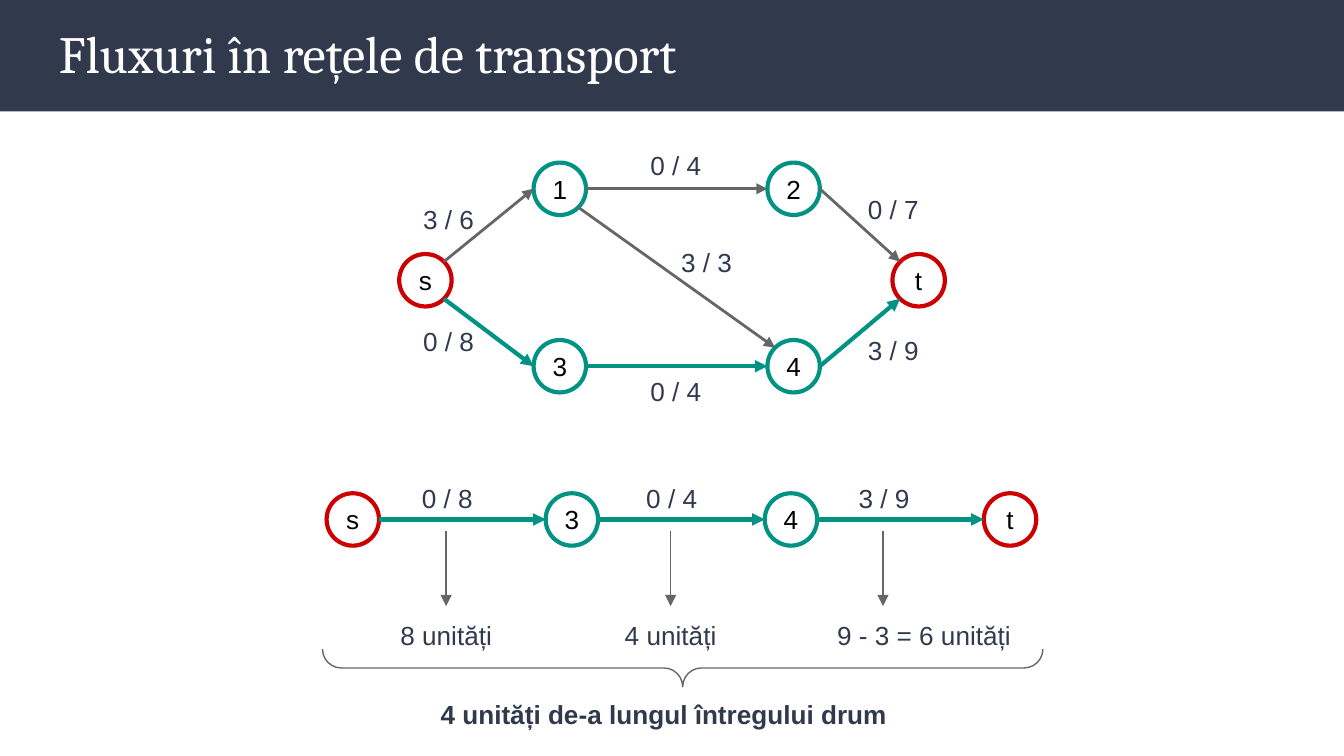
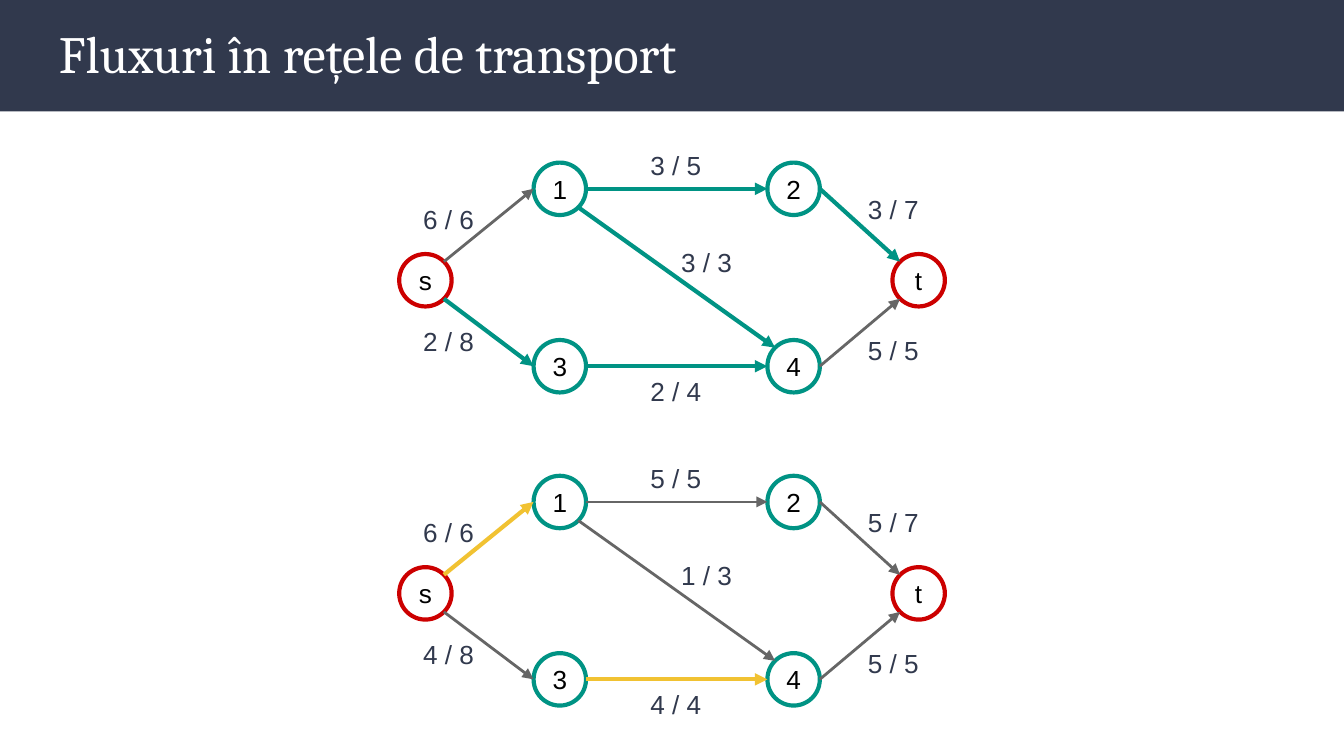
from dataclasses import dataclass
from math import cos, radians, sin

from lxml import etree
from pptx import Presentation
from pptx import util as u
from pptx.dml.color import RGBColor
from pptx.enum import shapes, text
from pptx.oxml.ns import qn


@dataclass(frozen=True)
class Theme:
    navy: str = "31394D"
    white: str = "FFFFFF"
    black: str = "000000"
    red: str = "CC0000"
    green: str = "009384"
    gray: str = "666666"
    gold: str = "F1C232"
    head: str = "Cambria"
    body: str = "Arial"
    title: int = 28
    label: int = 14
    thin: float = 0.75
    mid: float = 1.5
    bold: float = 2.25


T = Theme()
SIZE = 0.39
LEFT, RIGHT = 2, 6
UP_LEFT, LOW_LEFT, LOW_RIGHT, UP_RIGHT = 1, 3, 5, 7

NODES = {
    "s": (2.97, 1.89),
    "1": (3.97, 1.21),
    "2": (5.71, 1.21),
    "3": (3.97, 2.53),
    "4": (5.71, 2.53),
    "t": (6.64, 1.89),
}
EDGES = {
    "s1": (UP_RIGHT, LEFT, (3.05, 1.41, 0.59)),
    "12": (RIGHT, LEFT, (4.74, 1.01, 0.59)),
    "2t": (RIGHT, UP_LEFT, (6.36, 1.34, 0.66)),
    "s3": (LOW_RIGHT, LEFT, (3.05, 2.32, 0.59)),
    "34": (RIGHT, LEFT, (4.74, 2.69, 0.59)),
    "4t": (RIGHT, LOW_LEFT, (6.36, 2.39, 0.66)),
    "14": (LOW_RIGHT, UP_LEFT, (4.97, 1.73, 0.64)),
}


def rgb(color):
    return RGBColor.from_string(color)


def write(shape, words, *, size=T.label, font=T.body, color=T.navy,
          bold=False, align=text.PP_ALIGN.LEFT,
          anchor=text.MSO_ANCHOR.TOP, inset=0.1):
    frame = shape.text_frame
    frame.word_wrap = True
    frame.vertical_anchor = anchor
    frame.margin_left = frame.margin_right = u.Inches(inset)
    frame.margin_top = frame.margin_bottom = u.Inches(inset)
    para = frame.paragraphs[0]
    para.alignment = align
    run = para.add_run()
    run.text = words
    run.font.size = u.Pt(size)
    run.font.name = font
    run.font.bold = bold
    run.font.color.rgb = rgb(color)


def box(slide, x, y, w, h, words, **style):
    shape = slide.shapes.add_textbox(*map(u.Inches, (x, y, w, h)))
    write(shape, words, **style)
    return shape


def label(slide, x, y, w, words, **style):
    shape = box(slide, x, y, w, 0.44, words, **style)
    shape.text_frame.auto_size = text.MSO_AUTO_SIZE.SHAPE_TO_FIT_TEXT


def draw(slide, kind, x, y, w, h, fill=None, line=None, width=T.thin):
    shape = slide.shapes.add_shape(kind, *map(u.Inches, (x, y, w, h)))
    shape.shadow.inherit = False
    if fill:
        shape.fill.solid()
        shape.fill.fore_color.rgb = rgb(fill)
    else:
        shape.fill.background()
    if line:
        shape.line.color.rgb = rgb(line)
        shape.line.width = u.Pt(width)
    else:
        shape.line.fill.background()
    return shape


def node(slide, name, x, y):
    color = T.red if name in "st" else T.green
    shape = draw(slide, shapes.MSO_SHAPE.OVAL, x, y, SIZE, SIZE,
                 line=color, width=T.bold)
    write(shape, name, color=T.black, align=text.PP_ALIGN.CENTER,
          anchor=text.MSO_ANCHOR.MIDDLE, inset=0.02)
    return shape


def arrow(slide, start, end, color, width):
    line = slide.shapes.add_connector(
        shapes.MSO_CONNECTOR.STRAIGHT, *start, *end)
    line.line.color.rgb = rgb(color)
    line.line.width = u.Pt(width)
    props = line._element.spPr
    etree.SubElement(props.find(qn("a:ln")), qn("a:tailEnd"), type="triangle")
    etree.SubElement(props, qn("a:effectLst"))
    return line


def rim(shape, site):
    turn = radians(90 + 45 * site)
    half = shape.width / 2
    return (round(shape.left + half + half * cos(turn)),
            round(shape.top + half - half * sin(turn)))


def link(slide, a, out, b, into, color):
    width = T.mid if color == T.gray else T.bold
    line = arrow(slide, rim(a, out), rim(b, into), color, width)
    ends = line._element.find(".//" + qn("p:cNvCxnSpPr"))
    for tag, shape, site in (("a:stCxn", a, out), ("a:endCxn", b, into)):
        etree.SubElement(ends, qn(tag), id=str(shape.shape_id), idx=str(site))


def network(slide, flows, marked, color, drop=0):
    nodes = {name: node(slide, name, x, y + drop)
             for name, (x, y) in NODES.items()}
    for (a, b), flow in zip(EDGES, flows):
        out, into, (x, y, w) = EDGES[a + b]
        shade = color if a + b in marked else T.gray
        link(slide, nodes[a], out, nodes[b], into, shade)
        label(slide, x, y + drop, w, flow)


def chain(slide):
    nodes = [node(slide, name, 2.43 + 1.63 * i, 3.67)
             for i, name in enumerate("s34t")]
    for a, b in zip(nodes, nodes[1:]):
        link(slide, a, RIGHT, b, LEFT, T.green)
    steps = ((3.32, "0 / 8", "8 unități", 0.89),
             (4.99, "0 / 4", "4 unități", 0.89),
             (6.57, "3 / 9", "9 - 3 = 6 unități", 1.57))
    for x, flow, spare, w in steps:
        label(slide, x - 0.28, 3.49, 0.62, flow)
        arrow(slide, (u.Inches(x), u.Inches(3.95)),
              (u.Inches(x), u.Inches(4.51)), T.gray, T.thin)
        label(slide, x - 0.44, 4.51, w, spare)
    brace = draw(slide, shapes.MSO_SHAPE.LEFT_BRACE, 4.94, 2.29, 0.28, 5.36,
                 line=T.gray)
    brace.adjustments[0] = brace.adjustments[1] = 0.5
    brace.rotation = 270
    label(slide, 3.18, 5.1, 3.63, "4 unități de-a lungul întregului drum",
          bold=True)


def page(deck):
    slide = deck.slides.add_slide(deck.slide_layouts[6])
    draw(slide, shapes.MSO_SHAPE.RECTANGLE, 0, 0, 10, 0.83, fill=T.navy)
    box(slide, 0.34, 0.06, 9.32, 0.68, "Fluxuri în rețele de transport",
        size=T.title, font=T.head, color=T.white)
    return slide


def main():
    deck = Presentation()
    deck.slide_width = u.Inches(10)
    deck.slide_height = deck.slide_width * 9 // 16

    slide = page(deck)
    network(slide, ("3 / 6", "0 / 4", "0 / 7", "0 / 8", "0 / 4", "3 / 9",
                    "3 / 3"), ("s3", "34", "4t"), T.green)
    chain(slide)

    slide = page(deck)
    network(slide, ("6 / 6", "3 / 5", "3 / 7", "2 / 8", "2 / 4", "5 / 5",
                    "3 / 3"), ("s3", "34", "14", "12", "2t"), T.green)
    network(slide, ("6 / 6", "5 / 5", "5 / 7", "4 / 8", "4 / 4", "5 / 5",
                    "1 / 3"), ("s1", "34"), T.gold, drop=2.33)

    deck.save("out.pptx")


if __name__ == "__main__":
    main()
